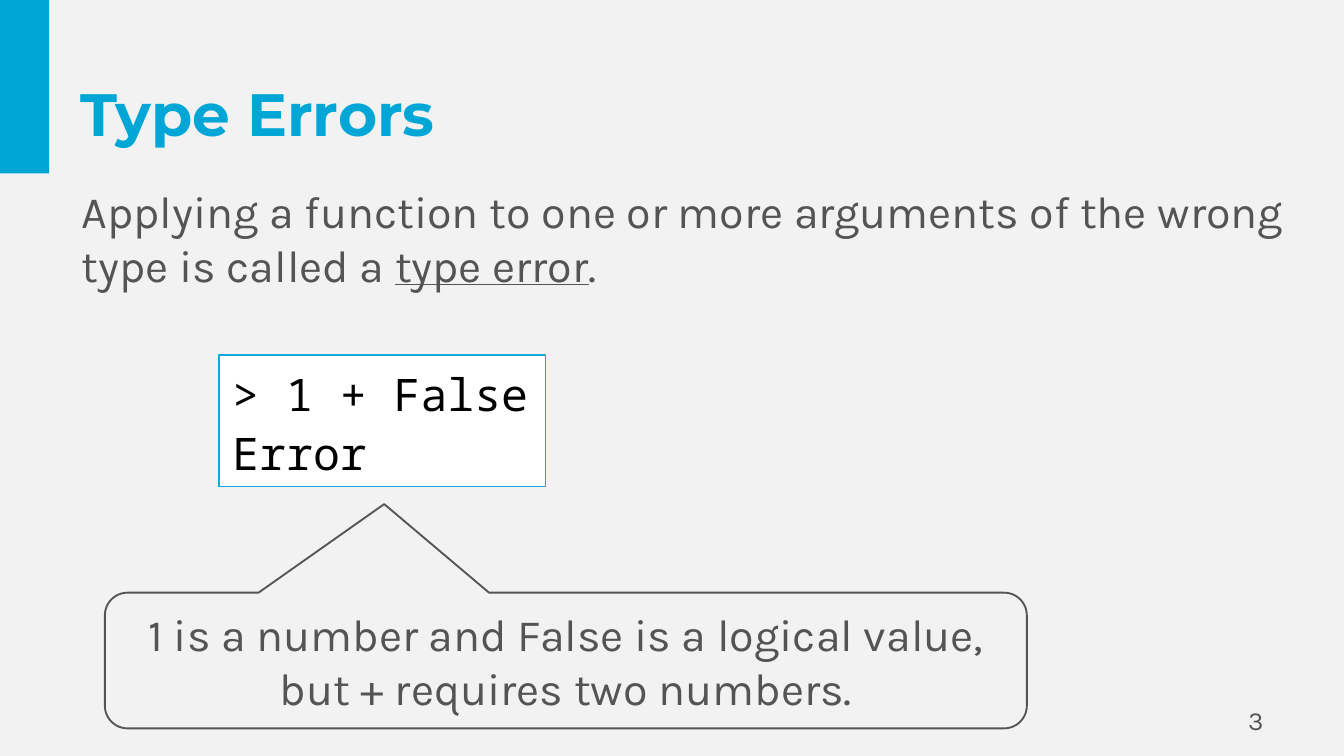
"""Build the slide that explains type errors."""
from pptx import Presentation
from pptx.dml.color import RGBColor
from pptx.enum import shapes, text
from pptx.util import Pt

THEME = {
    "background": "F2F2F2", "accent": "00A6D6", "ink": "545454",
    "code_fill": "FFFFFF", "code_line": "15A8DB", "code_ink": "000000",
    "title": ("Montserrat", 32), "body": ("Karla", 24),
    "code": ("Noto Sans Mono", 24), "number": ("Karla", 14),
}

TITLE = "Type Errors"
DEFINITION = [[
    ("Applying a function to one or more arguments of the wrong type is called a ", False),
    ("type error", True),
    (".", False),
]]
CODE = [[("> 1 + False", False)], [("Error", False)]]
EXPLANATION = [[
    ("1 is a number and False is a logical value, but + requires two numbers.", False),
]]
PAGE = "3"

SLIDE_SIZE = (720, 405)
BOXES = {
    "accent": (0, 0, 26.4, 92.9),
    "number": (516.2, 375.1, 167.8, 21.6),
    "title": (36, 16.5, 648, 88),
    "definition": (36.7, 94.3, 659.5, 65.5),
    "code": (117.4, 190.1, 175, 70.6),
    "callout": (56.2, 317.5, 493.9, 72.7),
}
CALLOUT_TIP = (-0.197, -1.153, 0.167)


def colour(name):
    return RGBColor.from_string(THEME[name])


def box(name):
    return [Pt(length) for length in BOXES[name]]


def write(shape, paragraphs, style, ink="ink", align=text.PP_ALIGN.LEFT,
          spacing=None, wrap=True, bold=False):
    frame = shape.text_frame
    frame.word_wrap = wrap
    frame.auto_size = text.MSO_AUTO_SIZE.NONE
    frame.vertical_anchor = text.MSO_ANCHOR.MIDDLE
    frame.margin_left = frame.margin_right = Pt(7.2)
    frame.margin_top = frame.margin_bottom = Pt(3.6)
    family, size = THEME[style]
    for index, runs in enumerate(paragraphs):
        paragraph = frame.add_paragraph() if index else frame.paragraphs[0]
        paragraph.alignment = align
        paragraph.line_spacing = spacing
        for words, underlined in runs:
            run = paragraph.add_run()
            run.text = words
            run.font.name = family
            run.font.size = Pt(size)
            run.font.bold = bold
            run.font.underline = underlined
            run.font.color.rgb = colour(ink)


def add_panel(slide, kind, name, fill=None, line=None, width=1):
    panel = slide.shapes.add_shape(kind, *box(name))
    panel.shadow.inherit = False
    if fill:
        panel.fill.solid()
        panel.fill.fore_color.rgb = colour(fill)
    else:
        panel.fill.background()
    if line:
        panel.line.color.rgb = colour(line)
        panel.line.width = Pt(width)
    else:
        panel.line.fill.background()
    return panel


def main():
    deck = Presentation()
    deck.slide_width, deck.slide_height = map(Pt, SLIDE_SIZE)
    slide = deck.slides.add_slide(deck.slide_layouts[5])
    slide.background.fill.solid()
    slide.background.fill.fore_color.rgb = colour("background")

    add_panel(slide, shapes.MSO_SHAPE.RECTANGLE, "accent", fill="accent")

    number = slide.shapes.add_textbox(*box("number"))
    write(number, [[(PAGE, False)]], "number", align=text.PP_ALIGN.RIGHT)

    title = slide.shapes.title
    title.left, title.top, title.width, title.height = box("title")
    write(title, [[(TITLE, False)]], "title", ink="accent", bold=True)

    definition = slide.shapes.add_textbox(*box("definition"))
    write(definition, DEFINITION, "body")

    code = add_panel(slide, shapes.MSO_SHAPE.RECTANGLE, "code",
                     fill="code_fill", line="code_line", width=0.75)
    write(code, CODE, "code", ink="code_ink", spacing=1.1, wrap=False)

    callout = add_panel(slide, shapes.MSO_SHAPE.ROUNDED_RECTANGULAR_CALLOUT,
                        "callout", line="ink")
    for index, value in enumerate(CALLOUT_TIP):
        callout.adjustments[index] = value
    write(callout, EXPLANATION, "body", align=text.PP_ALIGN.CENTER)

    deck.save("out.pptx")


if __name__ == "__main__":
    main()
